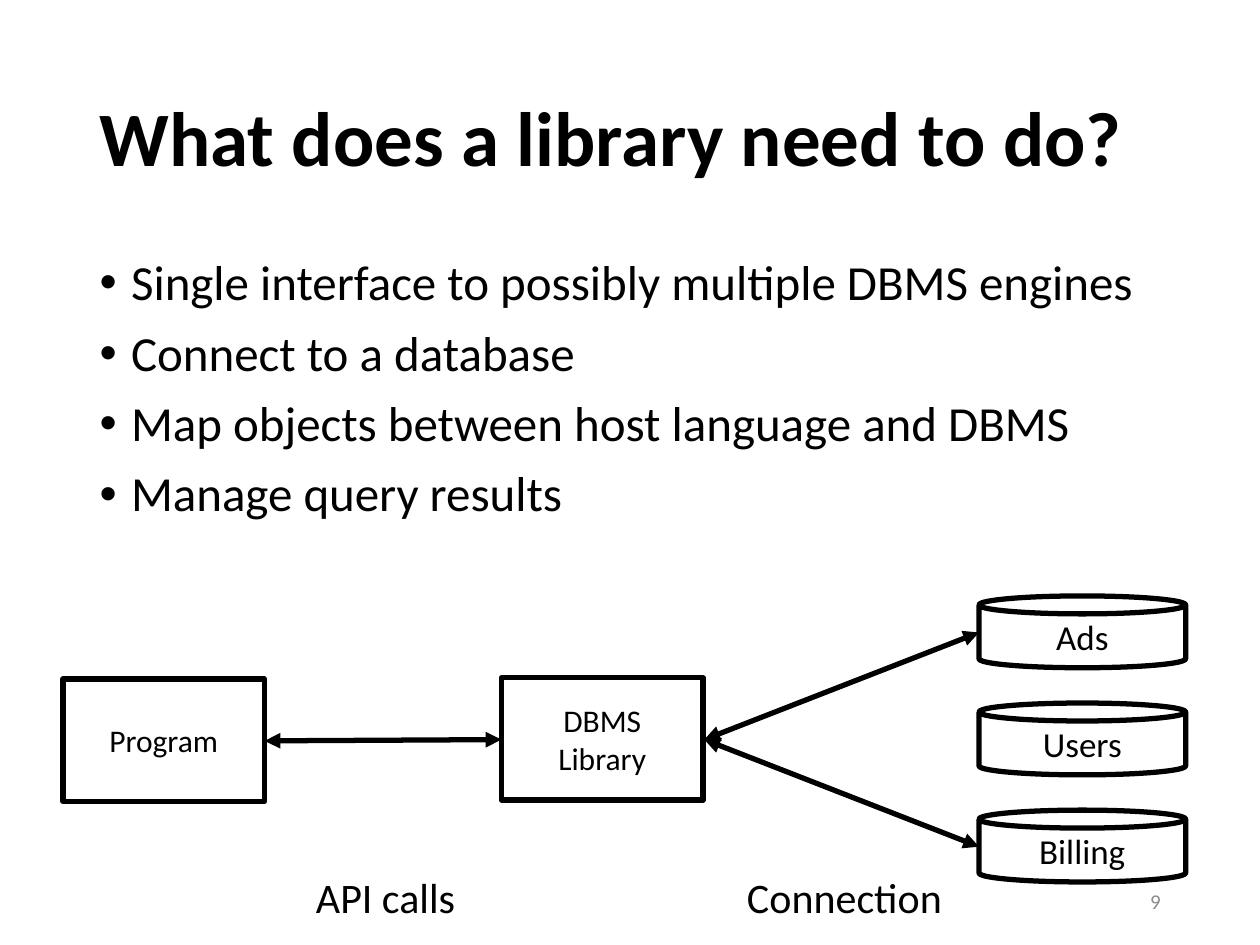
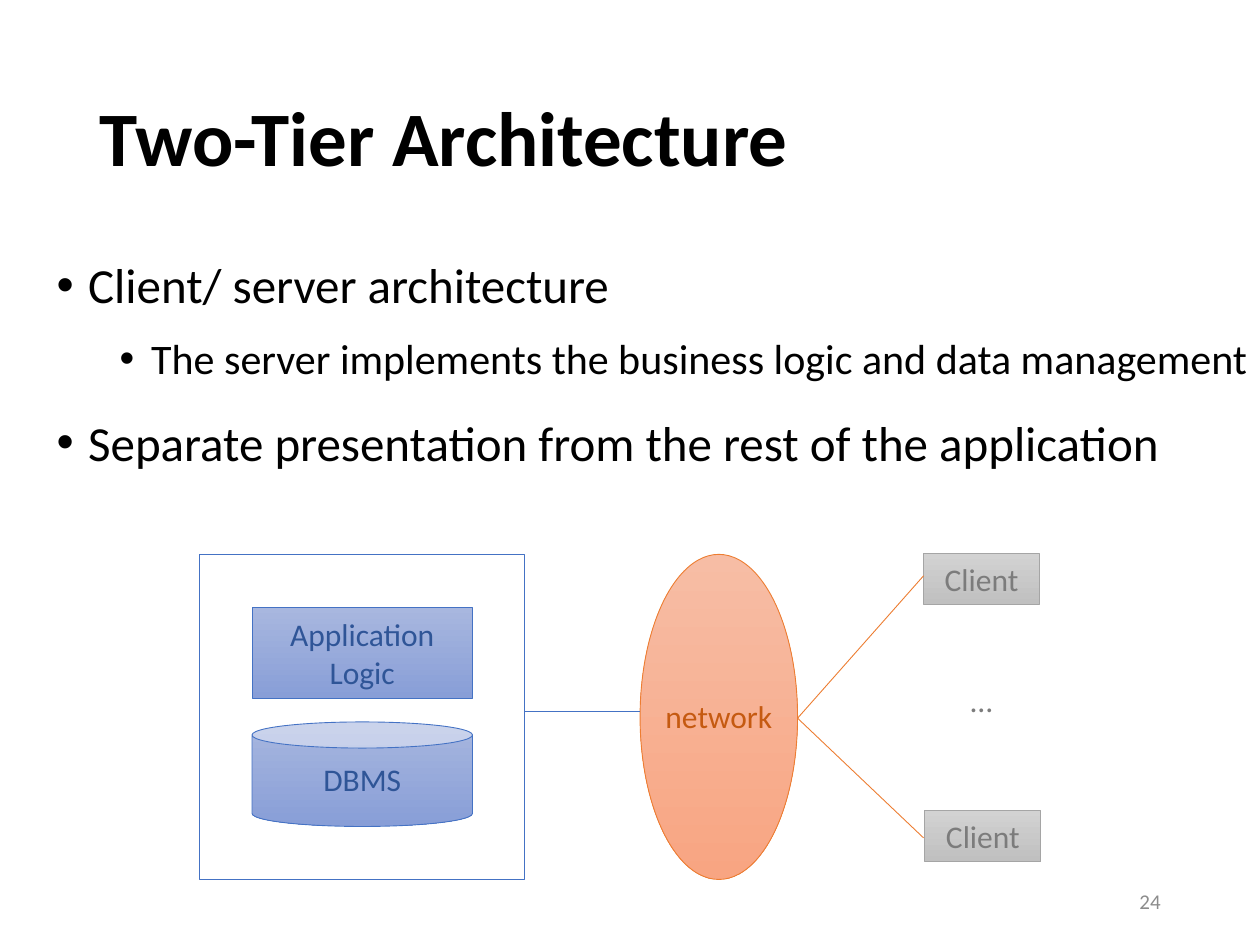
from dataclasses import dataclass

from lxml.etree import SubElement
from pptx import Presentation
from pptx.dml.color import RGBColor
from pptx.enum.shapes import MSO_CONNECTOR as Connector, MSO_SHAPE as Preset
from pptx.enum.text import MSO_ANCHOR as Anchor, MSO_AUTO_SIZE as AutoSize, PP_ALIGN as Align
from pptx.oxml.ns import qn
from pptx.util import Pt

PX = 9144  # EMU in one px, 100 px to the inch
FONT = "Calibri"
COLORS = {
    "ink": "000000", "paper": "FFFFFF", "number": "8C8C8C",
    "server": "4472C4", "server_top": "A8B7DF", "server_end": "889ED7", "server_text": "2F5597",
    "network": "ED7D31", "network_top": "F7BDA5", "network_end": "F8A582", "network_text": "C55A11",
    "client": "A5A5A5", "client_top": "D2D2D2", "client_end": "C0C0C0", "client_text": "7C7C7C",
}


@dataclass(frozen=True)
class Box:
    left: int
    top: int
    width: int
    height: int


@dataclass(frozen=True)
class Bullet:
    text: str
    level: int = 0


@dataclass(frozen=True)
class Node:
    """A diagram shape; fill holds no colour, one colour, or two for a gradient."""
    preset: Preset
    box: Box
    line: str
    weight: float
    fill: tuple[str, ...] = ()
    text: str = ""
    size: int = 18
    color: str = "ink"
    wrap: bool = False


@dataclass(frozen=True)
class Label:
    text: str
    box: Box
    size: int = 18
    color: str = "ink"
    align: Align = Align.CENTER
    anchor: Anchor = Anchor.TOP
    wrap: bool = True


@dataclass(frozen=True)
class Link:
    start: tuple[int, int]
    end: tuple[int, int]
    color: str
    weight: float
    arrows: bool = False


TITLE_BOX = Box(69, 40, 862, 145)
NUMBER_BOX = Box(706, 695, 225, 40)


def rgb(name: str) -> RGBColor:
    return RGBColor.from_string(COLORS[name])


def emu(box: Box) -> tuple[int, int, int, int]:
    return box.left * PX, box.top * PX, box.width * PX, box.height * PX


def place(shape, box: Box) -> None:
    shape.left, shape.top, shape.width, shape.height = emu(box)


def add_run(paragraph, text: str, size: int, color: str, bold: bool = False) -> None:
    run = paragraph.add_run()
    run.text = text
    run.font.name = FONT
    run.font.size = Pt(size)
    run.font.bold = bold
    run.font.color.rgb = rgb(color)


def write_lines(frame, text: str, size: int, color: str, align: Align, wrap: bool) -> None:
    frame.word_wrap = wrap
    for index, line in enumerate(text.split("\n")):
        paragraph = frame.add_paragraph() if index else frame.paragraphs[0]
        paragraph.alignment = align
        add_run(paragraph, line, size, color)


def add_label(slide, label: Label) -> None:
    frame = slide.shapes.add_textbox(*emu(label.box)).text_frame
    frame.vertical_anchor = label.anchor
    write_lines(frame, label.text, label.size, label.color, label.align, label.wrap)


def add_node(slide, node: Node) -> None:
    shape = slide.shapes.add_shape(node.preset, *emu(node.box))
    shape.shadow.inherit = False
    shape.line.color.rgb = rgb(node.line)
    shape.line.width = Pt(node.weight)
    if len(node.fill) == 2:
        shape.fill.gradient()
        shape.fill.gradient_angle = 270
        for stop, name in zip(shape.fill.gradient_stops, node.fill):
            stop.color.rgb = rgb(name)
    elif node.fill:
        shape.fill.solid()
        shape.fill.fore_color.rgb = rgb(node.fill[0])
    else:
        shape.fill.background()
    if node.text:
        shape.text_frame.vertical_anchor = Anchor.MIDDLE
        write_lines(shape.text_frame, node.text, node.size, node.color, Align.CENTER, node.wrap)


def add_link(slide, link: Link) -> None:
    ends = (value * PX for value in (*link.start, *link.end))
    connector = slide.shapes.add_connector(Connector.STRAIGHT, *ends)
    connector.line.color.rgb = rgb(link.color)
    connector.line.width = Pt(link.weight)
    properties = connector.element.spPr
    if link.arrows:
        for tag in ("a:headEnd", "a:tailEnd"):
            SubElement(properties.find(qn("a:ln")), qn(tag), type="triangle")
    SubElement(properties, qn("a:effectLst"))


def fill_body(body, box: Box, bullets: list[Bullet], spacing: float) -> None:
    place(body, box)
    frame = body.text_frame
    frame.auto_size = AutoSize.NONE
    for index, bullet in enumerate(bullets):
        paragraph = frame.add_paragraph() if index else frame.paragraphs[0]
        paragraph.level = bullet.level
        paragraph.line_spacing = spacing
        paragraph.space_before = Pt(5 if bullet.level else 10)
        properties = paragraph._p.get_or_add_pPr()
        properties.set("marL", str((25 + 50 * bullet.level) * PX))
        properties.set("indent", str(-25 * PX))
        SubElement(properties, qn("a:buFont"), typeface="Arial")
        SubElement(properties, qn("a:buChar"), char="•")
        add_run(paragraph, bullet.text, 24 if bullet.level else 28, "ink")


def add_content_slide(deck, title: str, number: int, box: Box, bullets: list[Bullet], spacing: float):
    """Add a slide with its title, bullet list and slide number."""
    slide = deck.slides.add_slide(deck.slide_layouts[1])
    heading = slide.shapes.title
    place(heading, TITLE_BOX)
    frame = heading.text_frame
    frame.auto_size = AutoSize.NONE
    frame.vertical_anchor = Anchor.MIDDLE
    frame.paragraphs[0].alignment = Align.LEFT
    frame.paragraphs[0].line_spacing = 0.9
    add_run(frame.paragraphs[0], title, 44, "ink", bold=True)
    fill_body(slide.placeholders[1], box, bullets, spacing)
    add_label(slide, Label(str(number), NUMBER_BOX, 12, "number", Align.RIGHT, Anchor.MIDDLE))
    return slide


def build_library_slide(deck) -> None:
    slide = add_content_slide(deck, "What does a library need to do?", 9, Box(69, 200, 862, 476), [
        Bullet("Single interface to possibly multiple DBMS engines"),
        Bullet("Connect to a database"),
        Bullet("Map objects between host language and DBMS"),
        Bullet("Manage query results"),
    ], 0.9)
    for text, left, top in (("DBMS\nLibrary", 398, 538), ("Program", 50, 539)):
        add_node(slide, Node(Preset.RECTANGLE, Box(left, top, 160, 97), "ink", 3, ("paper",), text))
    for index, database in enumerate(("Ads", "Users", "Billing")):
        box = Box(777, 473 + 85 * index, 164, 57)
        add_node(slide, Node(Preset.CAN, box, "ink", 3, ("paper",), database, 20))
    library_port = (559, 587)
    for start, end in (
        (library_port, (777, 502)),
        (library_port, (777, 672)),
        ((398, 587), (210, 588)),
    ):
        add_link(slide, Link(start, end, "ink", 3, arrows=True))
    for text, left, width in (("Connection", 583, 181), ("API calls", 241, 134)):
        add_label(slide, Label(text, Box(left, 687, width, 50), 24, align=Align.LEFT, wrap=False))


def build_two_tier_slide(deck) -> None:
    slide = add_content_slide(deck, "Two-Tier Architecture", 24, Box(35, 188, 978, 262), [
        Bullet("Client/ server architecture"),
        Bullet("The server implements the business logic and data management", 1),
        Bullet("Separate presentation from the rest of the application"),
    ], 1.2)

    def add_part(role: str, preset: Preset, box: Box, text: str = "") -> None:
        fill = (f"{role}_top", f"{role}_end")
        add_node(slide, Node(preset, box, role, 0.5, fill, text, color=f"{role}_text", wrap=True))

    add_part("server", Preset.CAN, Box(200, 573, 175, 83))
    add_part("server", Preset.RECTANGLE, Box(200, 482, 175, 72), "Application Logic")
    add_node(slide, Node(Preset.RECTANGLE, Box(158, 440, 258, 258), "server", 0.5))
    add_part("network", Preset.OVAL, Box(508, 440, 125, 258))
    for left, top in ((733, 439), (734, 643)):
        add_part("client", Preset.RECTANGLE, Box(left, top, 92, 41), "Client")

    for text, box, role in (
        ("…", Box(733, 536, 92, 40), "client"),
        ("DBMS", Box(200, 598, 175, 40), "server"),
        ("network", Box(508, 548, 125, 40), "network"),
    ):
        add_label(slide, Label(text, box, color=f"{role}_text"))

    add_link(slide, Link((508, 565), (417, 565), "server", 0.5))
    for client_y in (457, 665):
        add_link(slide, Link((633, 570), (733, client_y), "network", 0.5))


def main() -> None:
    deck = Presentation()
    deck.slide_width, deck.slide_height = 1000 * PX, 750 * PX
    build_library_slide(deck)
    build_two_tier_slide(deck)
    deck.save("out.pptx")


if __name__ == "__main__":
    main()
